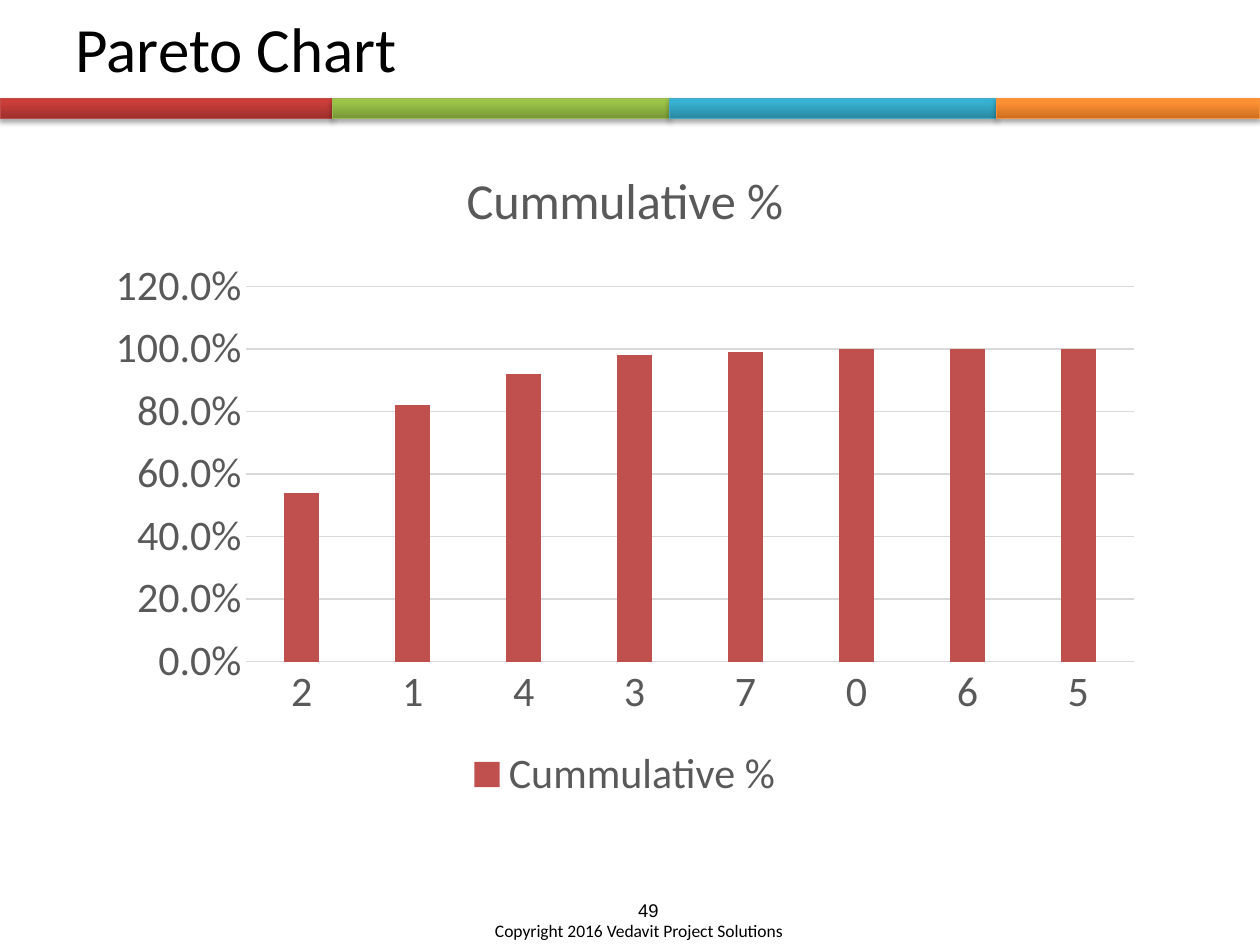
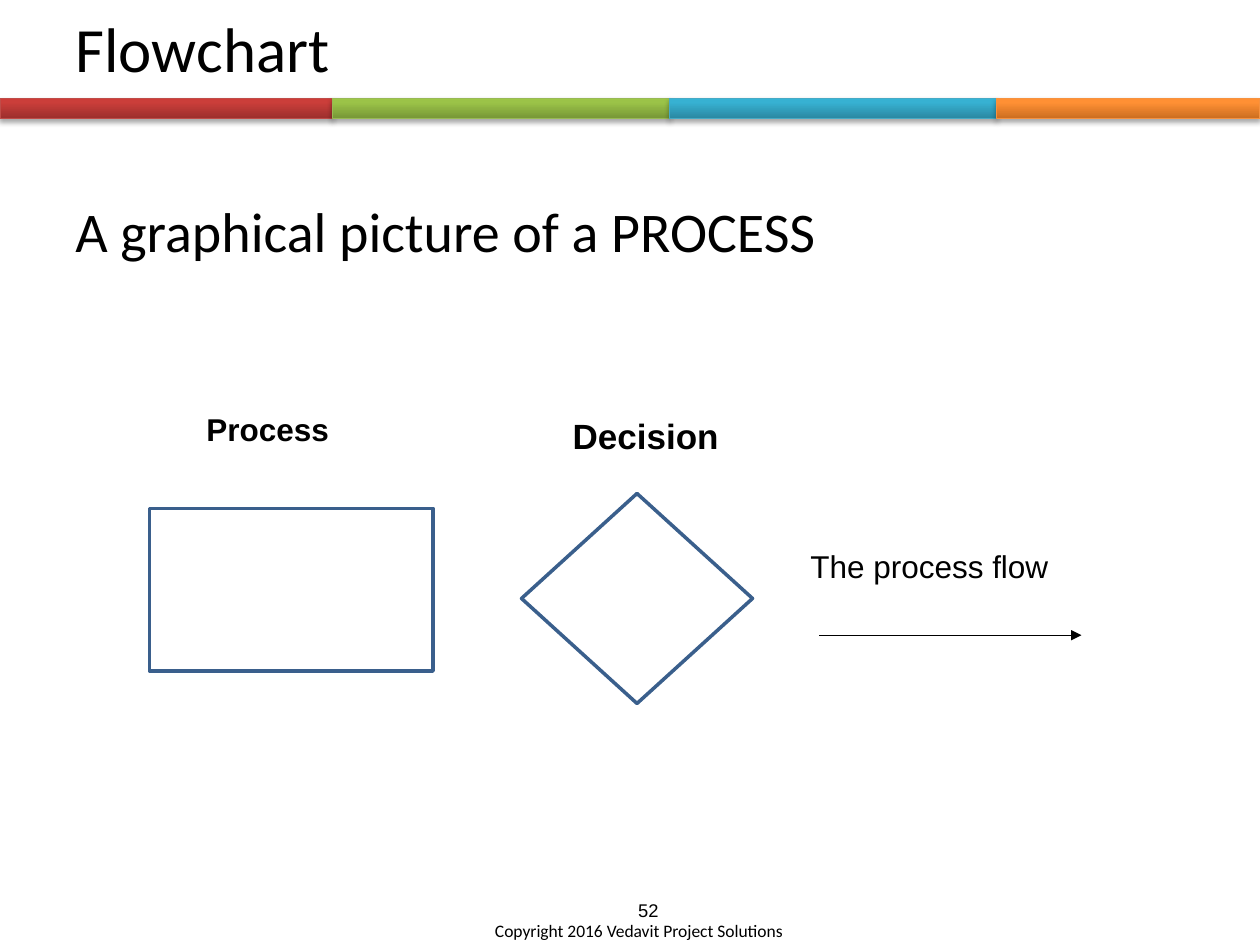
from lxml.etree import SubElement
from pptx import Presentation
from pptx.chart.data import CategoryChartData
from pptx.dml.color import RGBColor
from pptx.enum.chart import XL_CHART_TYPE, XL_LEGEND_POSITION, XL_TICK_MARK
from pptx.enum.shapes import MSO_CONNECTOR, MSO_SHAPE
from pptx.enum.text import MSO_ANCHOR, PP_ALIGN
from pptx.oxml.ns import qn
from pptx.util import Pt

BLACK = RGBColor(0x00, 0x00, 0x00)
WHITE = RGBColor(0xFF, 0xFF, 0xFF)
CHART_TEXT = RGBColor(0x59, 0x59, 0x59)
GRID = RGBColor(0xD9, 0xD9, 0xD9)
BAR_RED = RGBColor(0xC0, 0x50, 0x4D)
OUTLINE = RGBColor(0x3A, 0x5F, 0x8C)

# Right edge in points, line colour, gradient colours from bottom to top
BANDS = [
    (190, RGBColor(0xBF, 0x4C, 0x48), ("9C2F2D", "CB3E3A", "CE3B37")),
    (382.5, RGBColor(0x98, 0xB9, 0x55), ("779737", "9BC348", "9DC746")),
    (569.5, RGBColor(0x46, 0xAA, 0xC5), ("2A88A2", "37B1D2", "34B4D6")),
    (720, RGBColor(0xF6, 0x92, 0x40), ("CC6E20", "FF9034", "FF9136")),
]
GRADIENT_POSITIONS = ("0", "80000", "100000")
COPYRIGHT = "Copyright 2016 Vedavit Project Solutions"


def add_text(slide, text, left, top, width, height, size, font="Arial",
             bold=False, alignment=PP_ALIGN.LEFT):
    box = slide.shapes.add_textbox(Pt(left), Pt(top), Pt(width), Pt(height))
    box.text_frame.word_wrap = True
    paragraph = box.text_frame.paragraphs[0]
    paragraph.alignment = alignment
    run = paragraph.add_run()
    run.text = text
    run.font.size = Pt(size)
    run.font.name = font
    run.font.bold = bold
    run.font.color.rgb = BLACK


def add_titled_slide(presentation, title, page_number):
    """Add a slide with its title, colour bands, page number and copyright line."""
    slide = presentation.slides.add_slide(presentation.slide_layouts[5])

    left = 0
    for right, line_color, gradient_colors in BANDS:
        band = slide.shapes.add_shape(MSO_SHAPE.RECTANGLE, Pt(left), Pt(56.2),
                                      Pt(right - left), Pt(11.5))
        left = right
        band.line.color.rgb = line_color
        band.line.width = Pt(0.75)
        band.fill.gradient()
        band.fill.gradient_angle = 90
        properties = band._element.spPr
        stops = properties.find(".//" + qn("a:gsLst"))
        for stop in list(stops):
            stops.remove(stop)
        for position, color in zip(GRADIENT_POSITIONS, gradient_colors):
            stop = SubElement(stops, qn("a:gs"), pos=position)
            SubElement(stop, qn("a:srgbClr"), val=color)
        band.shadow.inherit = False
        shadow = SubElement(properties.find(qn("a:effectLst")), qn("a:outerShdw"),
                            blurRad=str(Pt(3.1)), dist=str(Pt(1.8)),
                            dir="5400000", rotWithShape="0")
        shadow_color = SubElement(shadow, qn("a:srgbClr"), val="000000")
        SubElement(shadow_color, qn("a:alpha"), val="35000")

    placeholder = slide.shapes.title
    placeholder.left, placeholder.top = Pt(36), Pt(-18)
    placeholder.width, placeholder.height = Pt(648), Pt(90)
    placeholder.text_frame.vertical_anchor = MSO_ANCHOR.MIDDLE
    paragraph = placeholder.text_frame.paragraphs[0]
    paragraph.alignment = PP_ALIGN.LEFT
    run = paragraph.add_run()
    run.text = title
    run.font.size = Pt(36)
    run.font.name = "Calibri"
    run.font.color.rgb = BLACK

    add_text(slide, page_number, 286.5, 510.5, 168, 29, 10.5,
             alignment=PP_ALIGN.CENTER)
    add_text(slide, COPYRIGHT, 275.75, 522, 228, 29, 10, font="Calibri")
    return slide


presentation = Presentation()
presentation.slide_width = Pt(720)
presentation.slide_height = Pt(540)

# Pareto chart
slide = add_titled_slide(presentation, "Pareto Chart", "49")
chart_data = CategoryChartData(number_format="0.0%")
chart_data.categories = ["2", "1", "4", "3", "7", "0", "6", "5"]
chart_data.add_series("Cummulative %", (0.54, 0.82, 0.92, 0.98, 0.99, 1, 1, 1))
chart = slide.shapes.add_chart(XL_CHART_TYPE.COLUMN_CLUSTERED, Pt(54), Pt(78),
                               Pt(606), Pt(384), chart_data).chart
chart.font.size = Pt(24)
chart.font.name = "Calibri"
chart.font.color.rgb = CHART_TEXT

chart.has_title = True
chart.chart_title.include_in_layout = False
run = chart.chart_title.text_frame.paragraphs[0].add_run()
run.text = "Cummulative %"
run.font.size = Pt(28.8)
run.font.name = "Calibri"
run.font.bold = False
run.font.color.rgb = CHART_TEXT

chart.has_legend = True
chart.legend.position = XL_LEGEND_POSITION.BOTTOM
chart.legend.include_in_layout = False

plot = chart.plots[0]
plot.gap_width = 219
plot.overlap = -27
plot.vary_by_categories = False
plot.series[0].format.fill.solid()
plot.series[0].format.fill.fore_color.rgb = BAR_RED

category_axis, value_axis = chart.category_axis, chart.value_axis
for axis in (category_axis, value_axis):
    axis.major_tick_mark = XL_TICK_MARK.NONE
    axis.minor_tick_mark = XL_TICK_MARK.NONE
value_axis.minimum_scale = 0
value_axis.maximum_scale = 1.2
value_axis.major_unit = 0.2
value_axis.tick_labels.number_format = "0.0%"
value_axis.tick_labels.number_format_is_linked = False
value_axis.format.line.fill.background()
value_axis.has_major_gridlines = True
for line in (category_axis.format.line, value_axis.major_gridlines.format.line):
    line.color.rgb = GRID
    line.width = Pt(0.75)

# Flowchart
slide = add_titled_slide(presentation, "Flowchart", "52")
add_text(slide, "A graphical picture of a PROCESS", 36, 109, 648, 45, 32,
         font="Calibri")
add_text(slide, "Process", 84, 231, 138, 29, 18, bold=True,
         alignment=PP_ALIGN.CENTER)
add_text(slide, "Decision", 306, 233.5, 126, 31.5, 20, bold=True,
         alignment=PP_ALIGN.CENTER)
add_text(slide, "The process flow", 456, 309, 210, 29, 18)

arrow = slide.shapes.add_connector(MSO_CONNECTOR.STRAIGHT, Pt(468), Pt(363),
                                   Pt(618), Pt(363))
arrow.line.color.rgb = BLACK
arrow.line.width = Pt(0.75)
arrow_properties = arrow._element.spPr
SubElement(arrow_properties.find(qn("a:ln")), qn("a:tailEnd"), type="triangle")
SubElement(arrow_properties, qn("a:effectLst"))

for symbol, left, top, width, height in [
    (MSO_SHAPE.DIAMOND, 298, 282, 132, 120),
    (MSO_SHAPE.RECTANGLE, 85.5, 290.5, 162, 93),
]:
    shape = slide.shapes.add_shape(symbol, Pt(left), Pt(top), Pt(width), Pt(height))
    shape.shadow.inherit = False
    shape.fill.solid()
    shape.fill.fore_color.rgb = WHITE
    shape.line.color.rgb = OUTLINE
    shape.line.width = Pt(2)

presentation.save("out.pptx")
